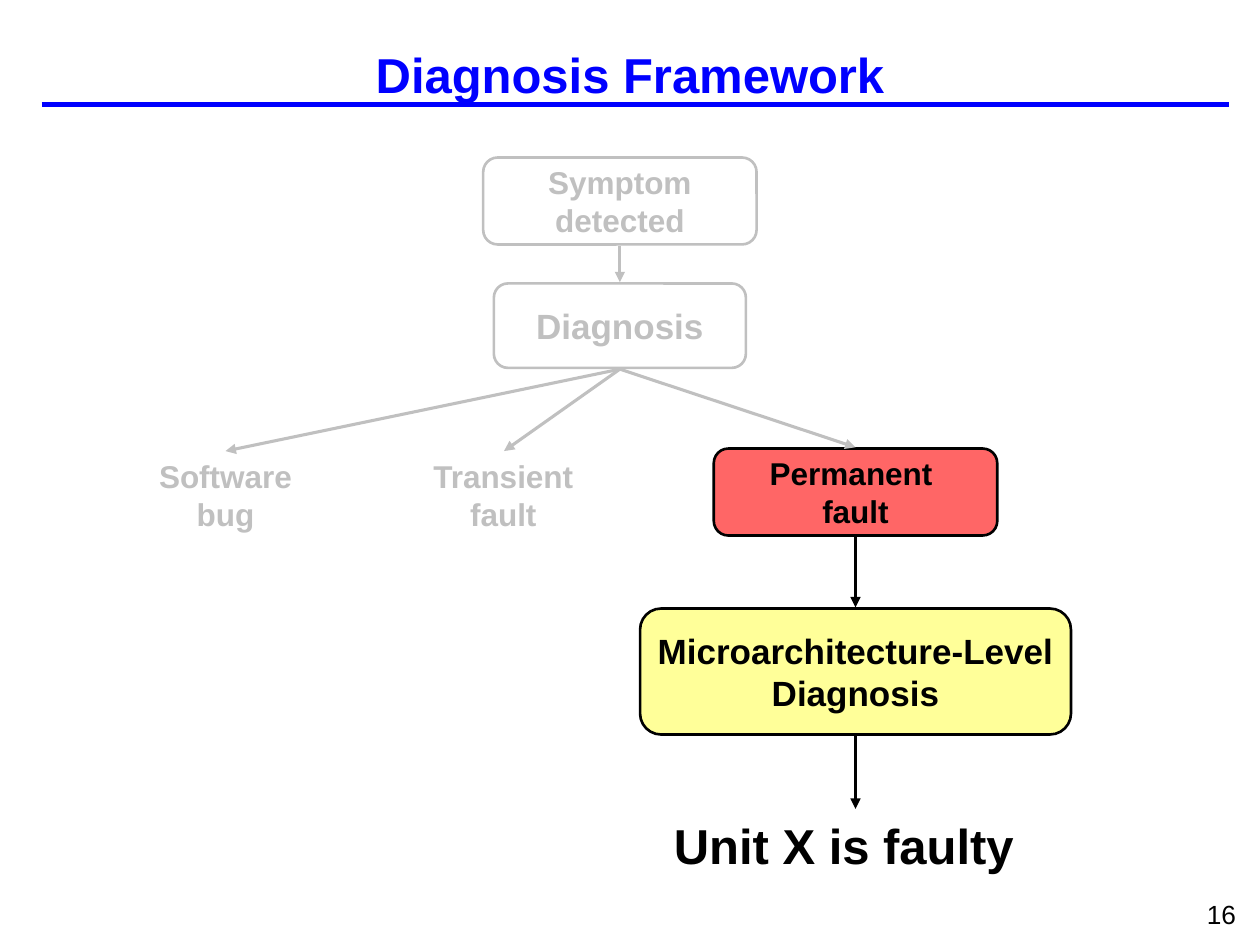
from dataclasses import dataclass
from typing import Optional

from lxml import etree
from pptx import Presentation
from pptx import util as u
from pptx.dml.color import RGBColor
from pptx.enum import shapes, text
from pptx.oxml import ns


@dataclass(frozen=True)
class Theme:
    font: str = "Arial"
    blue: str = "0000FF"
    black: str = "000000"
    gray: str = "C0C0C0"
    red: str = "FF6666"
    yellow: str = "FFFF99"
    title: int = 28
    large: int = 20
    body: int = 18
    number: int = 15
    rule: float = 3
    edge: float = 1.5
    arrow: float = 1.75


@dataclass(frozen=True)
class Label:
    words: str
    left: float
    top: float
    width: float
    height: float
    size: int
    color: str
    bold: bool = True
    align: text.PP_ALIGN = text.PP_ALIGN.CENTER
    anchor: text.MSO_ANCHOR = text.MSO_ANCHOR.TOP
    wrap: bool = False


@dataclass(frozen=True)
class Node:
    """A rounded box, centred on mid."""
    words: str
    mid: float
    top: float
    width: float
    height: float
    size: int
    color: str
    fill: Optional[str] = None


@dataclass(frozen=True)
class Link:
    x1: float
    y1: float
    x2: float
    y2: float
    color: str


T = Theme()
LEFT, RIGHT = 4.92, 6.79  # centre lines of the two columns
FORK = 2.93

LABELS = [
    Label("Diagnosis Framework", 0, 0.17, 10, 0.83, T.title, T.blue,
          anchor=text.MSO_ANCHOR.MIDDLE, wrap=True),
    Label("16", 9.48, 7.08, 0.52, 0.35, T.number, T.black, bold=False,
          align=text.PP_ALIGN.LEFT, wrap=True),
    Label("Unit X is faulty", 5.25, 6.42, 3.08, 0.57, T.title, T.black,
          align=text.PP_ALIGN.LEFT, wrap=True),
    Label("Software\nbug", 1.15, 3.58, 1.28, 0.7, T.body, T.gray),
    Label("Transient\nfault", 3.33, 3.58, 1.33, 0.7, T.body, T.gray),
]
NODES = [
    Node("Symptom\ndetected", LEFT, 1.25, 2.17, 0.69, T.body, T.gray),
    Node("Diagnosis", LEFT, 2.25, 2, 0.67, T.large, T.gray),
    Node("Permanent \nfault", RIGHT, 3.56, 2.25, 0.69, T.body, T.black, T.red),
    Node("Microarchitecture-Level\nDiagnosis", RIGHT, 4.83, 3.42, 1,
         T.large, T.black, T.yellow),
]
LINKS = [
    Link(LEFT, 1.95, LEFT, 2.24, T.gray),
    Link(LEFT, FORK, 1.79, 3.58, T.gray),
    Link(LEFT, FORK, 4, 3.58, T.gray),
    Link(LEFT, FORK, RIGHT, 3.55, T.gray),
    Link(RIGHT, 4.26, RIGHT, 4.82, T.black),
    Link(RIGHT, 5.84, RIGHT, 6.42, T.black),
]


def rgb(code: str) -> RGBColor:
    return RGBColor.from_string(code)


def write(shape, item, bold: bool, align, anchor, wrap: bool) -> None:
    frame = shape.text_frame
    frame.text = item.words
    frame.word_wrap = wrap
    frame.vertical_anchor = anchor
    for para in frame.paragraphs:
        para.alignment = align
        for run in para.runs:
            run.font.name = T.font
            run.font.size = u.Pt(item.size)
            run.font.bold = bold
            run.font.color.rgb = rgb(item.color)


def add_label(slide, item: Label) -> None:
    box = slide.shapes.add_textbox(u.Inches(item.left), u.Inches(item.top),
                                   u.Inches(item.width), u.Inches(item.height))
    write(box, item, item.bold, item.align, item.anchor, item.wrap)
    if not item.wrap:
        box.text_frame.auto_size = text.MSO_AUTO_SIZE.SHAPE_TO_FIT_TEXT


def add_node(slide, item: Node) -> None:
    box = slide.shapes.add_shape(
        shapes.MSO_SHAPE.ROUNDED_RECTANGLE,
        u.Inches(item.mid - item.width / 2), u.Inches(item.top),
        u.Inches(item.width), u.Inches(item.height))
    box.shadow.inherit = False
    if item.fill:
        box.fill.solid()
        box.fill.fore_color.rgb = rgb(item.fill)
    else:
        box.fill.background()
    box.line.color.rgb = rgb(item.color)
    box.line.width = u.Pt(T.edge)
    write(box, item, True, text.PP_ALIGN.CENTER, text.MSO_ANCHOR.MIDDLE, False)


def add_link(slide, item: Link, width: float, head: bool = True) -> None:
    line = slide.shapes.add_connector(
        shapes.MSO_CONNECTOR.STRAIGHT, u.Inches(item.x1), u.Inches(item.y1),
        u.Inches(item.x2), u.Inches(item.y2))
    line.line.color.rgb = rgb(item.color)
    line.line.width = u.Pt(width)
    if head:
        etree.SubElement(line.line._get_or_add_ln(), ns.qn("a:tailEnd"),
                         type="triangle")
    etree.SubElement(line._element.spPr, ns.qn("a:effectLst"))


def main() -> None:
    deck = Presentation()
    deck.slide_width, deck.slide_height = u.Inches(10), u.Inches(7.5)
    slide = deck.slides.add_slide(deck.slide_layouts[6])
    add_link(slide, Link(0.33, 0.83, 9.75, 0.83, T.blue), T.rule, head=False)
    for label in LABELS:
        add_label(slide, label)
    for node in NODES:
        add_node(slide, node)
    for link in LINKS:
        add_link(slide, link, T.arrow)
    deck.save("out.pptx")


if __name__ == "__main__":
    main()
